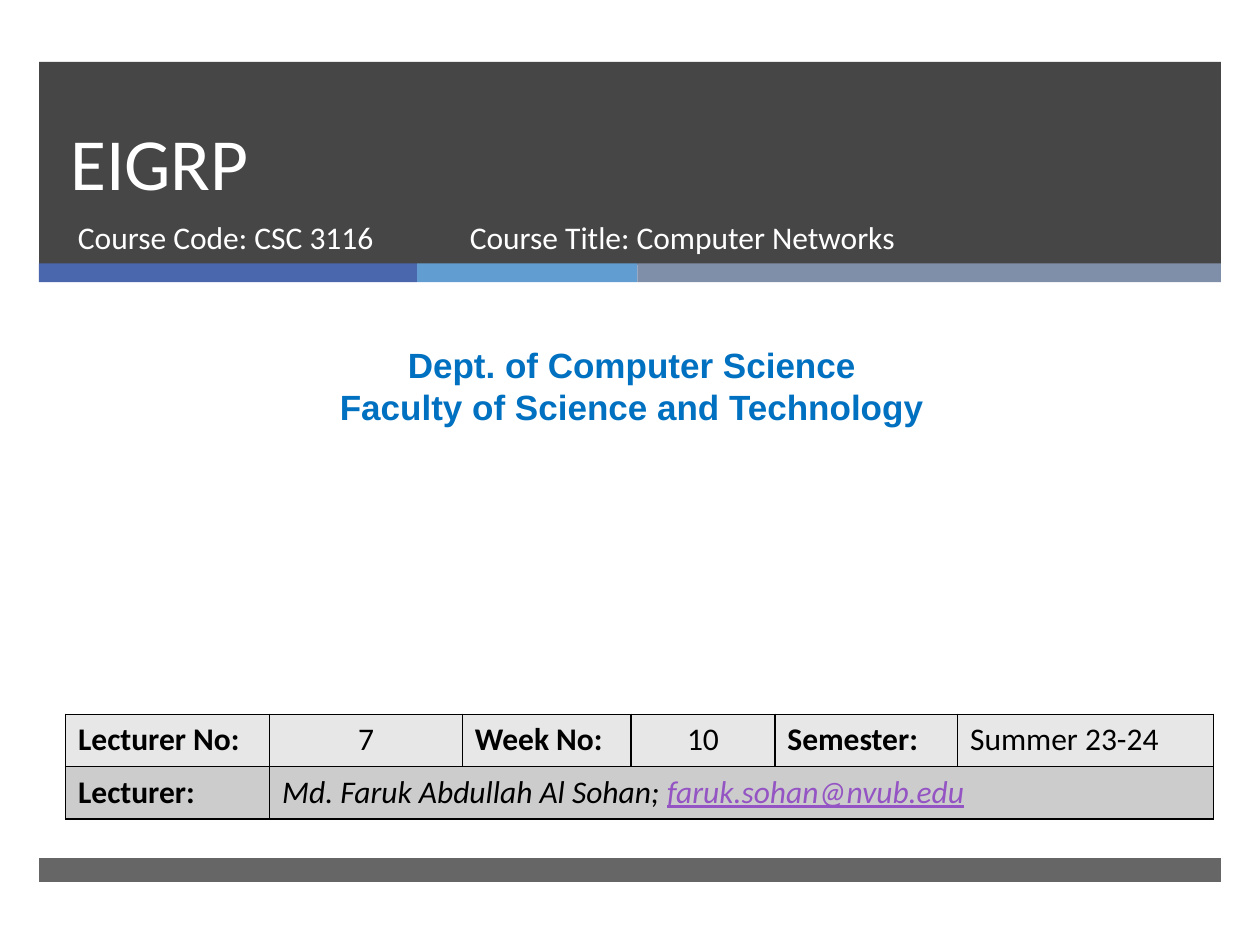
from pptx import Presentation
from pptx.dml.color import RGBColor as RGB
from pptx.enum.shapes import MSO_SHAPE as SHAPE
from pptx.enum.text import MSO_ANCHOR as ANCHOR, PP_ALIGN as ALIGN
from pptx.oxml.ns import qn
from pptx.util import Inches, Pt
from lxml.etree import SubElement

COLORS = {
    "dark": "262626", "white": "FFFFFF", "black": "000000",
    "indigo": "4A66AC", "sky": "629DD1", "slate": "7F8FA9",
    "dept": "0070C0", "email": "9454C3",
    "info_row": "E7E7E7", "lecturer_row": "CCCCCC",
}
LEFT, WIDTH = 0.31, 9.38
STRIPES = [("indigo", 3), ("sky", 1.75), ("slate", 4.63)]
DEPARTMENT = ["Dept. of Computer Science", "Faculty of Science and Technology"]
COURSE = [
    ("Course Code: CSC 3116", (0.52, 1.68, 3.05, 0.53)),
    ("Course Title: Computer Networks", (3.63, 1.68, 4.55, 0.53)),
]
INFO = [
    ("Lecturer No:", 1.62, {"bold": True}),
    ("7", 1.53, {"align": ALIGN.CENTER}),
    ("Week No:", 1.34, {"bold": True}),
    ("10", 1.14, {"align": ALIGN.CENTER}),
    ("Semester:", 1.45, {"bold": True}),
    ("Summer 23-24", 2.03, {}),
]
LECTURER = "Md. Faruk Abdullah Al Sohan; "
EMAIL = "faruk.sohan@nvub.edu"


def write(paragraph, text, size=18, font="Calibri", color="black", bold=False,
          italic=False, underline=False, align=ALIGN.LEFT):
    paragraph.alignment = align
    run = paragraph.add_run()
    run.text = text
    run.font.size, run.font.name = Pt(size), font
    run.font.bold, run.font.italic, run.font.underline = bold, italic, underline
    run.font.color.rgb = RGB.from_string(COLORS[color])


def add_bar(slide, box, color, opacity=100):
    bar = slide.shapes.add_shape(SHAPE.RECTANGLE, *map(Inches, box))
    bar.shadow.inherit = False
    bar.line.fill.background()
    bar.fill.solid()
    bar.fill.fore_color.rgb = RGB.from_string(COLORS[color])
    if opacity < 100:
        tint = bar.fill._xPr.find(qn("a:solidFill"))[0]
        SubElement(tint, qn("a:alpha"), val=str(opacity * 1000))


def add_text(slide, box, lines, anchor=ANCHOR.TOP, spacing=None, **style):
    frame = slide.shapes.add_textbox(*map(Inches, box)).text_frame
    frame.word_wrap = True
    frame.vertical_anchor = anchor
    for number, line in enumerate(lines):
        paragraph = frame.add_paragraph() if number else frame.paragraphs[0]
        if spacing:
            paragraph.line_spacing = Pt(spacing)
        write(paragraph, line, **style)


def style_cell(cell, color):
    properties = cell._tc.get_or_add_tcPr()
    for side in ("lnL", "lnR", "lnT", "lnB"):
        border = SubElement(properties, qn(f"a:{side}"), w=str(Pt(1)))
        fill = SubElement(border, qn("a:solidFill"))
        SubElement(fill, qn("a:srgbClr"), val=COLORS["black"])
    cell.fill.solid()
    cell.fill.fore_color.rgb = RGB.from_string(COLORS[color])


def add_details(slide):
    table = slide.shapes.add_table(
        2, len(INFO), *map(Inches, (0.52, 5.67, 9.12, 0.83))).table
    for row, color in enumerate(("info_row", "lecturer_row")):
        for column in range(len(INFO)):
            style_cell(table.cell(row, column), color)
    for column, (text, width, style) in enumerate(INFO):
        table.columns[column].width = Inches(width)
        write(table.cell(0, column).text_frame.paragraphs[0], text, **style)
    write(table.cell(1, 0).text_frame.paragraphs[0], "Lecturer:", bold=True)
    contact = table.cell(1, 1)
    contact.merge(table.cell(1, len(INFO) - 1))
    paragraph = contact.text_frame.paragraphs[0]
    write(paragraph, LECTURER, italic=True)
    write(paragraph, EMAIL, italic=True, color="email", underline=True)


def main():
    deck = Presentation()
    deck.slide_width, deck.slide_height = Inches(10), Inches(7.5)
    slide = deck.slides.add_slide(deck.slide_layouts[6])

    add_bar(slide, (LEFT, 0.49, WIDTH, 1.61), "dark", opacity=85)
    left = LEFT
    for color, width in STRIPES:
        add_bar(slide, (left, 2.09, width, 0.15), color)
        left += width
    add_bar(slide, (LEFT, 6.81, WIDTH, 0.19), "dark", opacity=70)

    add_text(slide, (0.46, 0.49, 8.54, 1.19), ["EIGRP"], anchor=ANCHOR.BOTTOM,
             spacing=46, size=42, color="white")
    for text, box in COURSE:
        add_text(slide, box, [text], color="white")
    add_text(slide, (0.08, 2.68, 9.87, 0.77), DEPARTMENT, size=20, font="Arial",
             color="dept", bold=True, align=ALIGN.CENTER)
    add_details(slide)
    deck.save("out.pptx")


if __name__ == "__main__":
    main()
